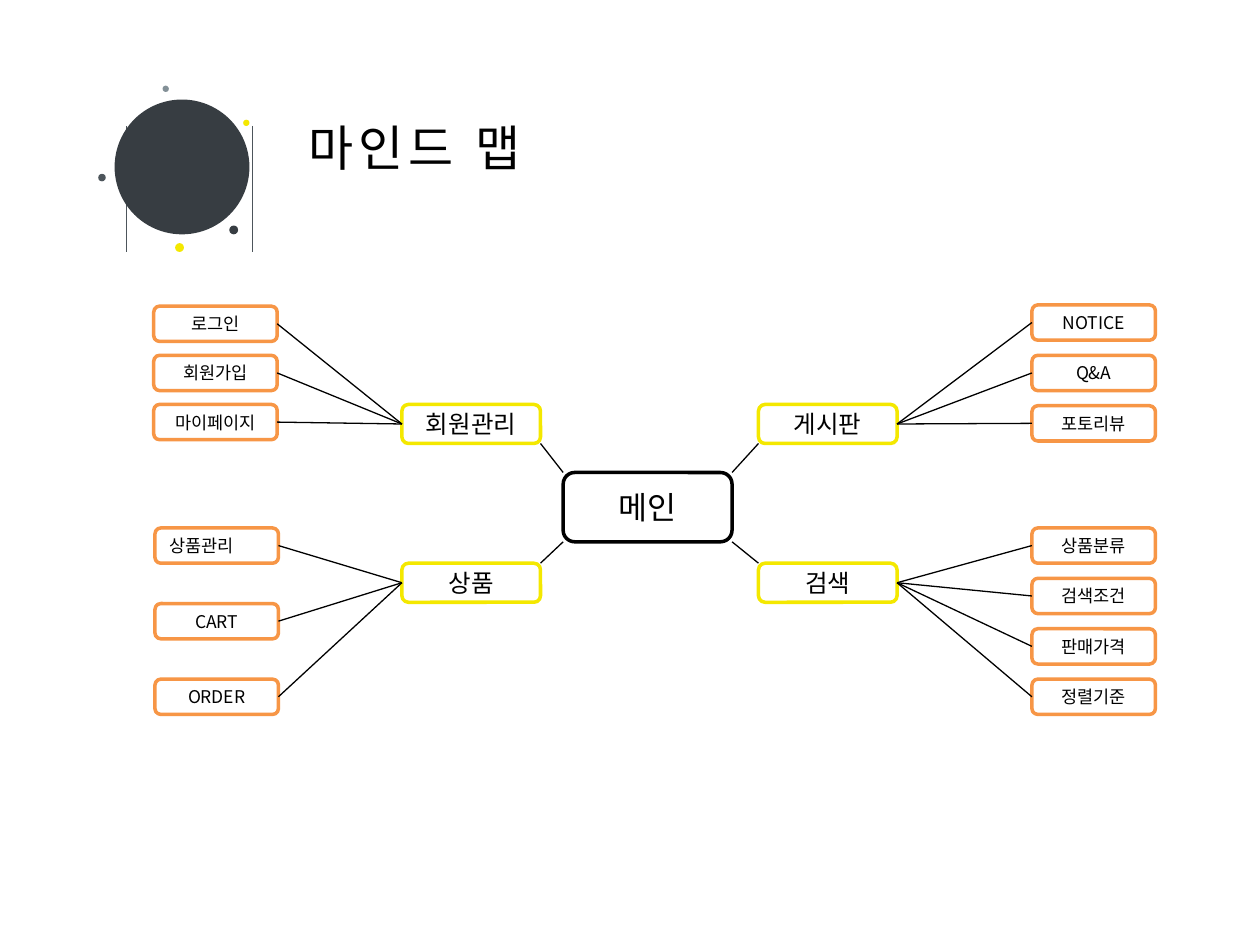
"""Build the mind map slide with its title emblem."""
from dataclasses import dataclass

import pptx
import pptx.dml.color
import pptx.enum.shapes
import pptx.enum.text
import pptx.oxml.ns
import pptx.shapes.autoshape
import pptx.slide
import pptx.text.text
import pptx.util
from lxml import etree

Inches = pptx.util.Inches
Point = tuple[float, float]
RGBColor = pptx.dml.color.RGBColor
ShapeType = pptx.enum.shapes.MSO_SHAPE

BLACK = RGBColor(0x00, 0x00, 0x00)
WHITE = RGBColor(0xFF, 0xFF, 0xFF)
YELLOW = RGBColor(0xF4, 0xE8, 0x00)
ORANGE = RGBColor(0xF7, 0x96, 0x46)
CHARCOAL = RGBColor(0x37, 0x3D, 0x42)
SLATE = RGBColor(0x4D, 0x55, 0x5B)
GRAY = RGBColor(0x83, 0x90, 0x97)
FONT_NAME = "Noto Sans CJK KR"


@dataclass(frozen=True)
class NodeStyle:
    width: float
    height: float
    border: RGBColor
    font_size: int


@dataclass(frozen=True)
class Branch:
    label: str
    left: float
    top: float
    leaves: tuple[str, ...]
    leaf_left: float
    leaf_top: float
    leaf_step: float


@dataclass(frozen=True)
class Dot:
    left: float
    top: float
    size: float
    color: RGBColor


MAIN_STYLE = NodeStyle(1.34, 0.55, BLACK, 18)
BRANCH_STYLE = NodeStyle(1.1, 0.31, YELLOW, 14)
LEAF_STYLE = NodeStyle(0.98, 0.28, ORANGE, 10)
MAIN_LEFT, MAIN_TOP = 4.47, 3.75

BRANCHES = (
    Branch("회원관리", 3.19, 3.21, ("로그인", "회원가입", "마이페이지"), 1.22, 2.43, 0.39),
    Branch("상품", 3.19, 4.47, ("상품관리\t", "CART", "ORDER"), 1.23, 4.19, 0.6),
    Branch("게시판", 6.02, 3.21, ("NOTICE", "Q&A", "포토리뷰"), 8.19, 2.42, 0.4),
    Branch("검색", 6.02, 4.47, ("상품분류", "검색조건", "판매가격", "정렬기준"), 8.19, 4.19, 0.4),
)
DOTS = (
    Dot(0.91, 0.79, 1.07, CHARCOAL),
    Dot(1.29, 0.68, 0.05, GRAY),
    Dot(1.93, 0.95, 0.05, YELLOW),
    Dot(0.78, 1.38, 0.06, SLATE),
    Dot(1.82, 1.79, 0.07, CHARCOAL),
    Dot(1.39, 1.93, 0.07, YELLOW),
)
ARCS = (
    ((1.95, 0.95), (2.07, 1.07), (2.19, 1.51), (1.86, 1.82)),
    ((1.32, 0.7), (1.15, 0.7), (0.77, 0.96), (0.81, 1.41)),
    ((1.42, 1.97), (1.3, 1.95), (0.89, 1.87), (0.81, 1.42)),
)


def write_text(frame: pptx.text.text.TextFrame, text: str, size: int, spacing: int = 0) -> None:
    """Write one run of black text, with letter spacing in points."""
    run = frame.paragraphs[0].add_run()
    run.text = text
    run.font.color.rgb = BLACK
    for name, value in {"name": FONT_NAME, "size": pptx.util.Pt(size)}.items():
        setattr(run.font, name, value)
    properties = run._r.get_or_add_rPr()
    east_asian = etree.SubElement(properties, pptx.oxml.ns.qn("a:ea"))
    east_asian.set("typeface", FONT_NAME)
    if spacing:
        properties.set("spc", str(spacing * 100))


def add_node(slide: pptx.slide.Slide, text: str, left: float, top: float, style: NodeStyle) -> None:
    """Add a labelled rounded box."""
    shape = slide.shapes.add_shape(
        ShapeType.ROUNDED_RECTANGLE,
        Inches(left), Inches(top), Inches(style.width), Inches(style.height),
    )
    shape.shadow.inherit = False
    shape.fill.solid()
    shape.fill.fore_color.rgb = WHITE
    shape.line.color.rgb = style.border
    shape.line.width = pptx.util.Pt(2)
    frame_format = {"word_wrap": True, "vertical_anchor": pptx.enum.text.MSO_ANCHOR.MIDDLE}
    for name, value in frame_format.items():
        setattr(shape.text_frame, name, value)
    shape.text_frame.paragraphs[0].alignment = pptx.enum.text.PP_ALIGN.CENTER
    write_text(shape.text_frame, text, style.font_size)


def add_link(slide: pptx.slide.Slide, start: Point, end: Point) -> None:
    """Add a thin straight connector."""
    connector = slide.shapes.add_connector(
        pptx.enum.shapes.MSO_CONNECTOR.STRAIGHT,
        *(Inches(value) for value in (*start, *end)),
    )
    connector.line.color.rgb = BLACK
    connector.line.width = pptx.util.Pt(0.75)
    etree.SubElement(connector._element.spPr, pptx.oxml.ns.qn("a:effectLst"))


def add_branch(slide: pptx.slide.Slide, branch: Branch) -> None:
    """Add a branch box, its leaves and all of its links."""
    on_left = branch.left < MAIN_LEFT
    above = branch.top < MAIN_TOP
    branch_right = branch.left + BRANCH_STYLE.width
    inner_x, outer_x = (branch_right, branch.left) if on_left else (branch.left, branch_right)
    leaf_x = branch.leaf_left + (LEAF_STYLE.width if on_left else 0)
    main_corner = (
        MAIN_LEFT + (0 if on_left else MAIN_STYLE.width),
        MAIN_TOP + (0 if above else MAIN_STYLE.height),
    )
    inner_corner = (inner_x, branch.top + (BRANCH_STYLE.height if above else 0))
    outer_middle = (outer_x, branch.top + BRANCH_STYLE.height / 2)

    add_node(slide, branch.label, branch.left, branch.top, BRANCH_STYLE)
    add_link(slide, main_corner, inner_corner)
    for index, label in enumerate(branch.leaves):
        top = branch.leaf_top + index * branch.leaf_step
        add_node(slide, label, branch.leaf_left, top, LEAF_STYLE)
        add_link(slide, outer_middle, (leaf_x, top + LEAF_STYLE.height / 2))


def add_dot(slide: pptx.slide.Slide, dot: Dot) -> None:
    """Add a filled circle."""
    shape = slide.shapes.add_shape(
        ShapeType.OVAL, Inches(dot.left), Inches(dot.top), Inches(dot.size), Inches(dot.size)
    )
    shape.shadow.inherit = False
    shape.fill.solid()
    shape.fill.fore_color.rgb = dot.color
    shape.line.fill.background()


def add_arc(slide: pptx.slide.Slide, controls: tuple[Point, ...], steps: int = 32) -> None:
    """Add an open outline that follows a cubic Bezier curve."""
    points = []
    for step in range(steps + 1):
        t = step / steps
        weights = ((1 - t) ** 3, 3 * t * (1 - t) ** 2, 3 * t**2 * (1 - t), t**3)
        points.append(tuple(
            sum(weight * control[axis] for weight, control in zip(weights, controls))
            for axis in range(2)
        ))
    builder = slide.shapes.build_freeform(*points[0], scale=Inches(1))
    builder.add_line_segments(points[1:], close=False)
    shape = builder.convert_to_shape()
    shape.shadow.inherit = False
    shape.fill.background()
    shape.line.color.rgb = SLATE
    shape.line.width = pptx.util.Pt(0.25)


def main() -> None:
    """Assemble and save the slide."""
    presentation = pptx.Presentation()
    for name, value in {"slide_width": Inches(10), "slide_height": Inches(7.5)}.items():
        setattr(presentation, name, value)
    slide = presentation.slides.add_slide(presentation.slide_layouts[6])
    title = slide.shapes.add_textbox(Inches(2.35), Inches(0.88), Inches(5.57), Inches(0.57))
    title.text_frame.word_wrap = True
    write_text(title.text_frame, "마인드 맵", 28, spacing=3)
    for arc in ARCS:
        add_arc(slide, arc)
    for dot in DOTS:
        add_dot(slide, dot)
    add_node(slide, "메인", MAIN_LEFT, MAIN_TOP, MAIN_STYLE)
    for branch in BRANCHES:
        add_branch(slide, branch)
    presentation.save("out.pptx")


if __name__ == "__main__":
    main()
